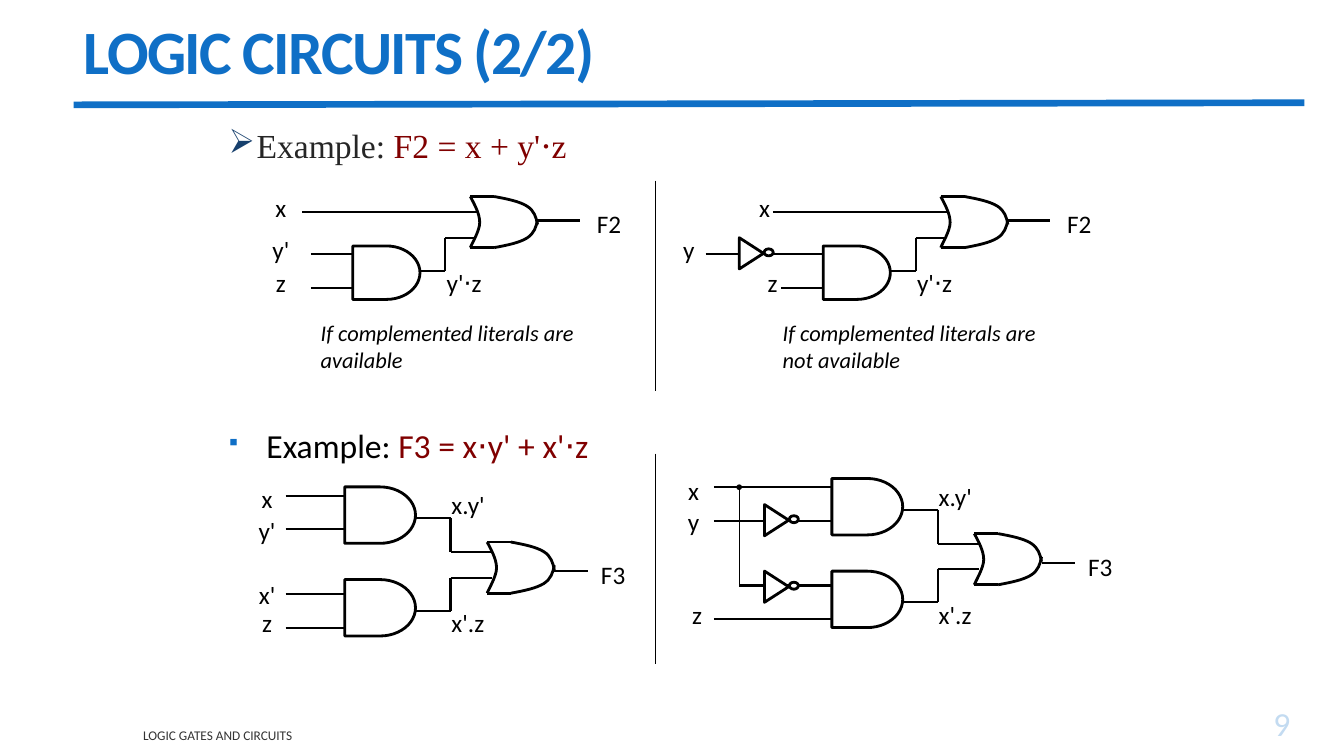
"""Build the slide that shows two logic functions as gate circuits."""
from lxml.etree import SubElement
from pptx import Presentation
from pptx.dml.color import RGBColor
from pptx.enum.shapes import MSO_CONNECTOR as LINK, MSO_SHAPE as SHAPE
from pptx.enum.text import MSO_ANCHOR as ANCHOR, PP_ALIGN as ALIGN
from pptx.oxml.ns import qn
from pptx.util import Pt

COLORS = {"blue": "0F6FC6", "navy": "17406D", "black": "000000", "white": "FFFFFF",
          "maroon": "800000", "dark": "262626", "footer": "333333", "number": "C3DBF1"}
OR_BACK = [(0, 0), (3.3, 6.3), (6.7, 12.4), (6.7, 18.6), (6.7, 24.5), (1, 33.7), (0, 36.5)]
OR_UPPER = [(17, 0), (26.4, 1.7), (35, 3.5), (40.4, 6.8), (45.6, 10.1), (47, 14.7), (48, 20)]
OR_LOWER = [(x, 36.5 - y) for x, y in OR_UPPER]


def rgb(name):
    return RGBColor.from_string(COLORS[name])


def write(shape, text, size=18, color="black", font="Calibri", bold=False, italic=False,
          align=ALIGN.LEFT, anchor=ANCHOR.TOP, spacing=None, line_spacing=None, bullet=None):
    """Fill a shape with one paragraph; text is a string or a list of (text, color) runs."""
    frame = shape.text_frame
    frame.word_wrap = True
    frame.vertical_anchor = anchor
    paragraph = frame.paragraphs[0]
    paragraph.alignment = align
    paragraph.space_before = Pt(0)
    if line_spacing:
        paragraph.line_spacing = line_spacing
    if bullet:
        add_bullet(paragraph, **bullet)
    for words, ink in [(text, color)] if isinstance(text, str) else text:
        run = paragraph.add_run()
        run.text = words
        run.font.name, run.font.size = font, Pt(size)
        run.font.bold, run.font.italic = bold, italic
        run.font.color.rgb = rgb(ink)
        if spacing:
            run.font._element.set("spc", str(round(spacing * 100)))


def add_bullet(paragraph, char, color, indent, percent=100):
    """Give a paragraph a hanging symbol bullet."""
    props = paragraph._p.get_or_add_pPr()
    props.set("marL", str(Pt(indent)))
    props.set("indent", str(-Pt(indent)))
    SubElement(SubElement(props, qn("a:buClr")), qn("a:srgbClr"), val=COLORS[color])
    SubElement(props, qn("a:buSzPct"), val=str(percent * 1000))
    SubElement(props, qn("a:buFont"), typeface="Wingdings", charset="2")
    SubElement(props, qn("a:buChar"), char=char)


def add_text(shapes, left, top, width, height, text, **style):
    """Place a text box."""
    box = shapes.add_textbox(Pt(left), Pt(top), Pt(width), Pt(height))
    write(box, text, **style)


def add_label(shapes, center, top, text, width=30):
    """Place a signal name centred on a given x."""
    add_text(shapes, center - width / 2, top, width, 29, text, align=ALIGN.CENTER)


def add_wire(shapes, *points, weight=1.5, color="black", dot=False):
    """Join points with straight lines, with an optional junction dot at the start."""
    for (x1, y1), (x2, y2) in zip(points, points[1:]):
        wire = shapes.add_connector(LINK.STRAIGHT, Pt(x1), Pt(y1), Pt(x2), Pt(y2))
        wire.line.color.rgb = rgb(color)
        wire.line.width = Pt(weight)
        SubElement(wire._element.spPr, qn("a:effectLst"))
        if dot:
            SubElement(wire.line._get_or_add_ln(), qn("a:headEnd"),
                       type="oval", w="sm", len="sm")


def outline(shape, fill=None):
    """Give a gate part its black outline and its fill."""
    shape.shadow.inherit = False
    shape.line.color.rgb = rgb("black")
    shape.line.width = Pt(2)
    if fill:
        shape.fill.solid()
        shape.fill.fore_color.rgb = rgb(fill)
    else:
        shape.fill.background()


def add_part(shapes, kind, left, top, width, height, fill=None, rotation=0):
    """Place a preset gate part."""
    part = shapes.add_shape(kind, Pt(left), Pt(top), Pt(width), Pt(height))
    part.rotation = rotation
    outline(part, fill)


def add_curve(shapes, points):
    """Draw an open outline whose points after the first form cubic curves, three for each."""
    places = [(Pt(x), Pt(y)) for x, y in points]
    builder = shapes.build_freeform(*places[0], scale=1.0)
    builder.add_line_segments(places[1:], close=False)
    curve = builder.convert_to_shape()
    segments = list(curve._element.iter(qn("a:lnTo")))
    for start in range(0, len(segments), 3):
        cubic = SubElement(segments[start].getparent(), qn("a:cubicBezTo"))
        for segment in segments[start:start + 3]:
            cubic.append(segment[0])
            segment.getparent().remove(segment)
    outline(curve)


def add_or_gate(shapes, left, top):
    """Draw an OR gate from its back, its two edges and its two front curves."""
    add_curve(shapes, [(left + x, top + y) for x, y in OR_BACK])
    for edge_y, front in ((0, OR_UPPER), (36.5, OR_LOWER)):
        add_wire(shapes, (left, top + edge_y), (left + 17, top + edge_y), weight=2)
        add_curve(shapes, [(left + x, top + y) for x, y in front])


def add_inverter(shapes, left, top):
    """Draw a NOT gate with its bubble."""
    add_part(shapes, SHAPE.FLOWCHART_MERGE, left, top, 22.3, 17.3, "white", 270)
    add_part(shapes, SHAPE.OVAL, left + 20.2, top + 5.5, 6.5, 5, "white")


def add_inputs(shapes, inputs, rows, gate_left):
    """Draw input wires and names; rows hold wire and label heights."""
    for (name, center, start), (wire_y, label_y) in zip(inputs, rows):
        add_wire(shapes, (start, wire_y), (gate_left, wire_y))
        if name:
            add_label(shapes, center, label_y, name)


def add_f2(slide, dx, inputs, inverters=()):
    """Draw the circuit of F2, shifted right by dx."""
    shapes = slide.shapes.add_group_shape().shapes
    add_part(shapes, SHAPE.FLOWCHART_DELAY, 252 + dx, 175.7, 48, 38.2)
    add_wire(shapes, (216 + dx, 151.7), (342 + dx, 151.7))
    add_label(shapes, inputs[0][1], 133.9, inputs[0][0])
    add_inputs(shapes, inputs[1:], [(181.4, 163.6), (205.7, 187.7)], 252 + dx)
    add_wire(shapes, (300 + dx, 193.7), (318 + dx, 193.7),
             (318 + dx, 169.7), (340 + dx, 169.7))
    add_wire(shapes, (384 + dx, 157.5), (414 + dx, 157.5))
    add_or_gate(shapes, 336 + dx, 140.4)
    add_text(shapes, 312 + dx, 187.7, 42, 29, "y'⋅z")
    add_label(shapes, 435 + dx, 145.6, "F2", 42)
    for left, top in inverters:
        add_inverter(shapes, left, top)


def add_f3(slide, dx, dy, inputs, inverters=(), branch=None):
    """Draw the circuit of F3, shifted by dx and dy."""
    shapes = slide.shapes.add_group_shape().shapes
    rows = [(354 + dy, 342 + dy), (378 + dy, 364.3 + dy),
            (424.2 + dy, 410.4 + dy), (448.4 + dy, 430.4 + dy)]
    add_inputs(shapes, inputs, rows, 246.2 + dx)
    terms = [("x.y'", 347.8, 394.6, 346.3), ("x'.z", 414, 412.6, 430.4)]
    for term, gate_top, join_y, label_y in terms:
        out_y = gate_top + dy + 22.3
        add_part(shapes, SHAPE.FLOWCHART_DELAY, 246.2 + dx, gate_top + dy, 50.6, 40.3)
        add_wire(shapes, (297.4 + dx, out_y), (321.8 + dx, out_y),
                 (321.8 + dx, join_y + dy), (351.4 + dx, join_y + dy))
        add_text(shapes, 315.4 + dx, label_y + dy, 45, 29, term)
    add_wire(shapes, (396 + dx, 408 + dy), (420 + dx, 408 + dy))
    add_or_gate(shapes, 348 + dx, 387.2 + dy)
    add_label(shapes, 438 + dx, 396 + dy, "F3", 36)
    for left, top in inverters:
        add_inverter(shapes, left, top)
    if branch:
        add_wire(shapes, *branch, weight=0.75, dot=True)


def main():
    """Build the slide and save it."""
    deck = Presentation()
    deck.slide_width, deck.slide_height = Pt(960), Pt(540)
    slide = deck.slides.add_slide(deck.slide_layouts[5])
    shapes = slide.shapes
    title = shapes.title
    title.left, title.top, title.width, title.height = Pt(52.6), Pt(5.8), Pt(848), Pt(67.7)
    write(title, "LOGIC CIRCUITS (2/2)", size=44, color="blue", bold=True,
          anchor=ANCHOR.MIDDLE, spacing=-1.2, line_spacing=0.85)
    add_wire(shapes, (52.6, 74.9), (931.7, 73.4), weight=4.75, color="blue")
    add_text(shapes, 95.2, 516.2, 541.4, 18, "LOGIC GATES AND CIRCUITS",
             size=9.5, color="footer", anchor=ANCHOR.MIDDLE)
    add_text(shapes, 835.2, 504, 93.6, 30.2, "9", size=24, color="number",
             align=ALIGN.RIGHT, anchor=ANCHOR.BOTTOM)

    add_text(shapes, 156.2, 86, 648, 50, [("Example: ", "dark"), ("F2 = x + y'⋅z", "maroon")],
             size=24, font="Times New Roman", bullet=dict(char="Ø", color="navy", indent=20))
    add_text(shapes, 156.2, 300.2, 648, 41.8,
             [("Example: ", "black"), ("F3 = x⋅y' + x'⋅z", "maroon")], size=24,
             bullet=dict(char="§", color="blue", indent=27, percent=65))
    for top in (129, 324):
        add_wire(shapes, (468, top), (468, top + 150), weight=0.75)
    for left, state in ((222, "available"), (552, "not available")):
        add_text(shapes, left, 224.6, 198, 46, f"If complemented literals are {state}",
                 size=16, italic=True)

    add_f2(slide, 0, [("x", 200.7, 216), ("y'", 200.7, 222), ("z", 200.7, 222)])
    add_f2(slide, 336, [("x", 546.1, 552), ("y", 492.1, 504), ("z", 551.9, 558)],
           inverters=[(525.6, 172.3)])
    add_f3(slide, 0, 0, [(name, 190.8, 204) for name in ("x", "y'", "x'", "z")])
    add_f3(slide, 348, -6,
           [("x", 495.4, 510), ("y", 495.4, 510), (None, 0, 528), ("z", 498, 510)],
           inverters=[(543.6, 362.9), (543.6, 410.4)], branch=[(528, 348), (528, 418)])
    deck.save("out.pptx")


if __name__ == "__main__":
    main()
